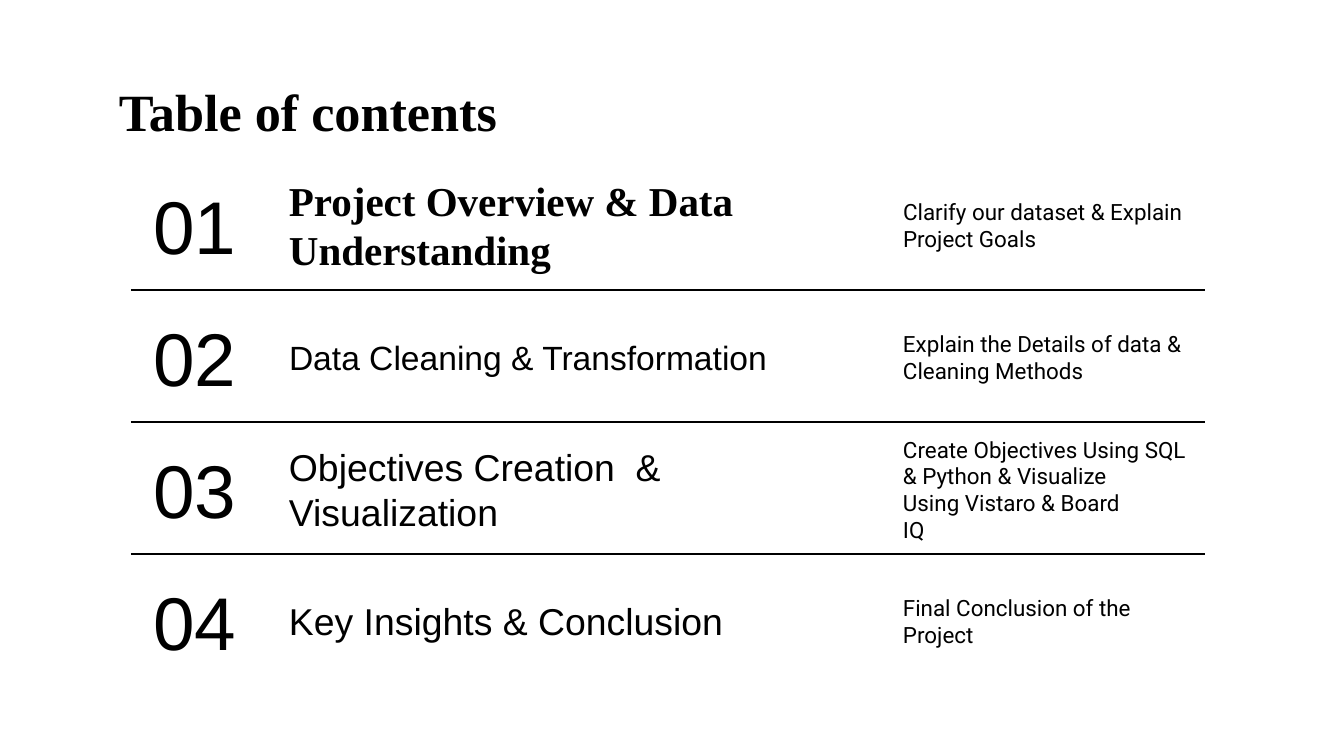
"""Build a table of contents slide with four numbered rows."""
from lxml import etree
from pptx import Presentation
from pptx.dml.color import RGBColor
from pptx.enum.shapes import MSO_CONNECTOR
from pptx.enum.text import MSO_ANCHOR, PP_ALIGN
from pptx.oxml.ns import qn
from pptx.util import Emu, Pt

LEFT, CENTER = PP_ALIGN.LEFT, PP_ALIGN.CENTER
TOP, MIDDLE = MSO_ANCHOR.TOP, MSO_ANCHOR.MIDDLE
STRAIGHT = MSO_CONNECTOR.STRAIGHT
INK = "000000"

TITLE = "Table of contents"
TITLE_FONT = {"name": "Times New Roman", "size": Pt(28), "bold": True}
NUMBER_FONT = {"name": "Arial", "size": Pt(40)}
DETAIL_FONT = {"name": "Roboto", "size": Pt(12)}
ROWS = [
    ("Project Overview & Data Understanding", 570,
     {"name": "Times New Roman", "size": Pt(22), "bold": True},
     "Clarify our dataset & Explain Project Goals", 348),
    ("Data Cleaning & Transformation", 689,
     {"name": "Arial", "size": Pt(18)},
     "Explain the Details of data & Cleaning Methods", 331),
    ("Objectives Creation  & Visualization", 570,
     {"name": "Arial", "size": Pt(20)},
     "Create Objectives Using SQL & Python & Visualize Using Vistaro & Board IQ", 331),
    ("Key Insights & Conclusion", 570,
     {"name": "Arial", "size": Pt(20)},
     "Final Conclusion of the Project", 331),
]
PITCH = 132
RULE_LEFT, RULE_RIGHT, RULE_TOP = 131, 1205, 290


def px(n):
    return Emu(round(n * 914400 / 134.4))


def color(value):
    return RGBColor.from_string(value)


def add_text(s, text, box, font, align=LEFT, anchor=MIDDLE):
    tf = s.shapes.add_textbox(*map(px, box)).text_frame
    margins = dict.fromkeys(("margin_left", "margin_top", "margin_right", "margin_bottom"), px(13))
    for key, value in {"word_wrap": True, "vertical_anchor": anchor, **margins}.items():
        setattr(tf, key, value)
    p = tf.paragraphs[0]
    p.alignment = align
    r = p.add_run()
    r.text = text
    for key, value in font.items():
        setattr(r.font, key, value)
    r.font.color.rgb = color(INK)
    return p


def add_detail(s, text, box):
    p = add_text(s, text, box, DETAIL_FONT)
    pPr = p._p.get_or_add_pPr()
    for key, value in {"marL": px(67), "indent": px(-47), "rtl": 1}.items():
        pPr.set(key, str(int(value)))


def add_rule(s, y):
    sp = s.shapes.add_connector(STRAIGHT, px(RULE_LEFT), px(y), px(RULE_RIGHT), px(y))
    sp.line.width = Pt(0.75)
    sp.line.color.rgb = color(INK)
    etree.SubElement(sp._element.spPr, qn("a:effectLst"))


def main():
    prs = Presentation()
    prs.slide_width, prs.slide_height = px(1344), px(756)
    s = prs.slides.add_slide(prs.slide_layouts[6])
    add_text(s, TITLE, (106, 66, 1133, 85), TITLE_FONT, anchor=TOP)
    for i, (heading, heading_w, font, detail, detail_w) in enumerate(ROWS):
        y = i * PITCH
        add_text(s, f"{i + 1:02}", (138, 169 + y, 114, 112), NUMBER_FONT, CENTER)
        add_text(s, heading, (276, 196 + y, heading_w, 58), font)
        add_detail(s, detail, (890, 183 + y, detail_w, 85))
        if i < len(ROWS) - 1:
            add_rule(s, RULE_TOP + y)
    prs.save("out.pptx")


if __name__ == "__main__":
    main()
